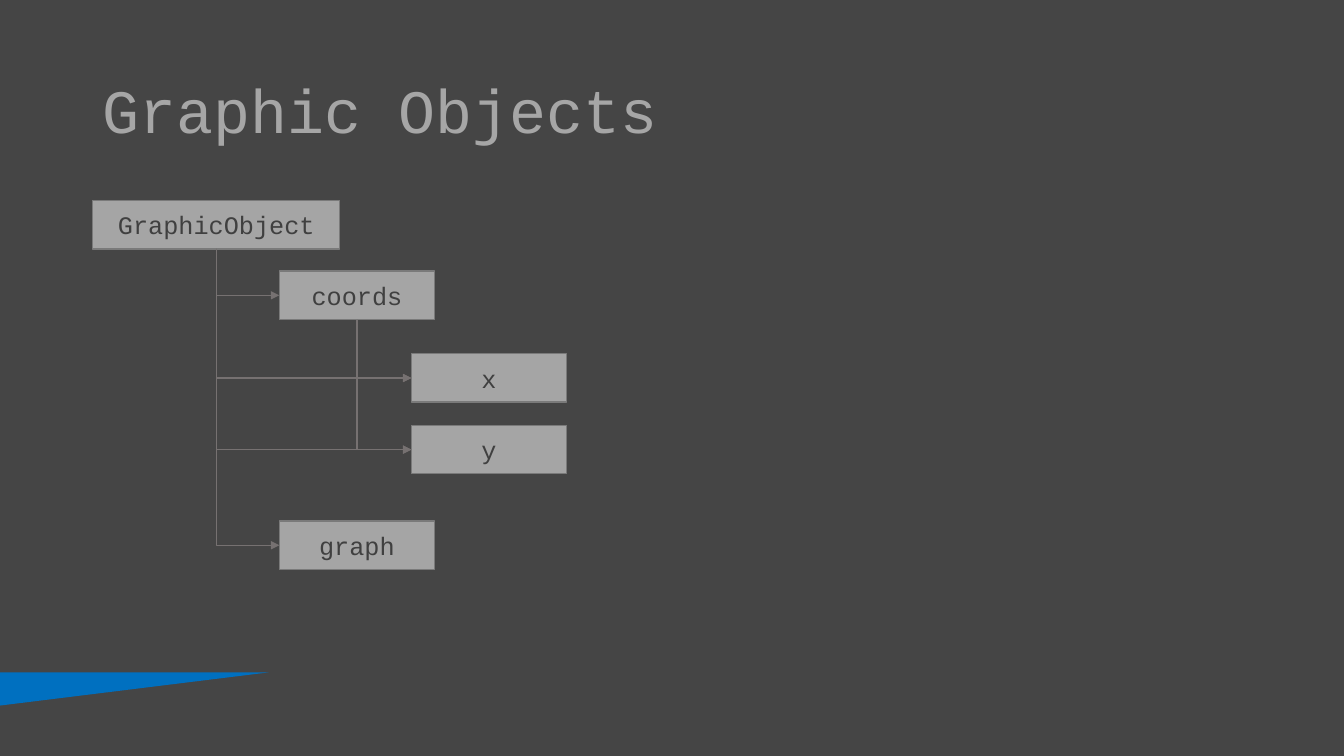
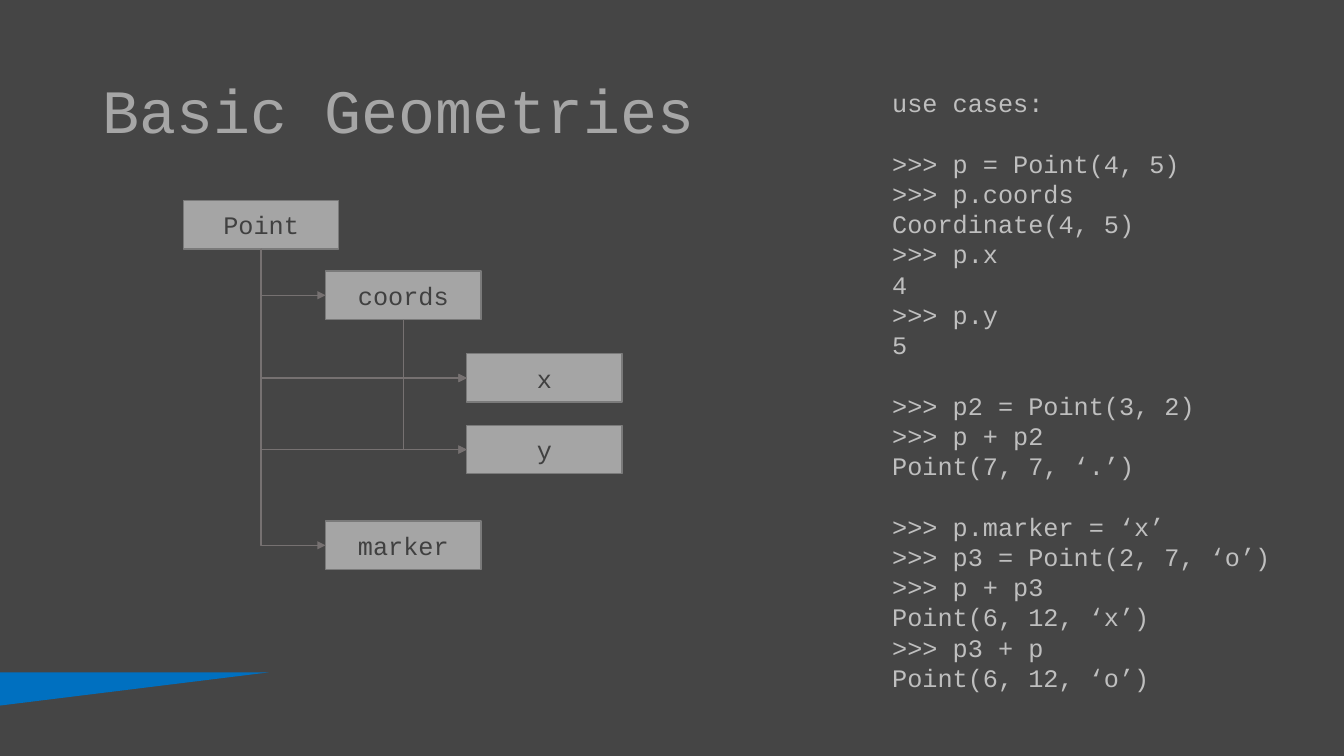
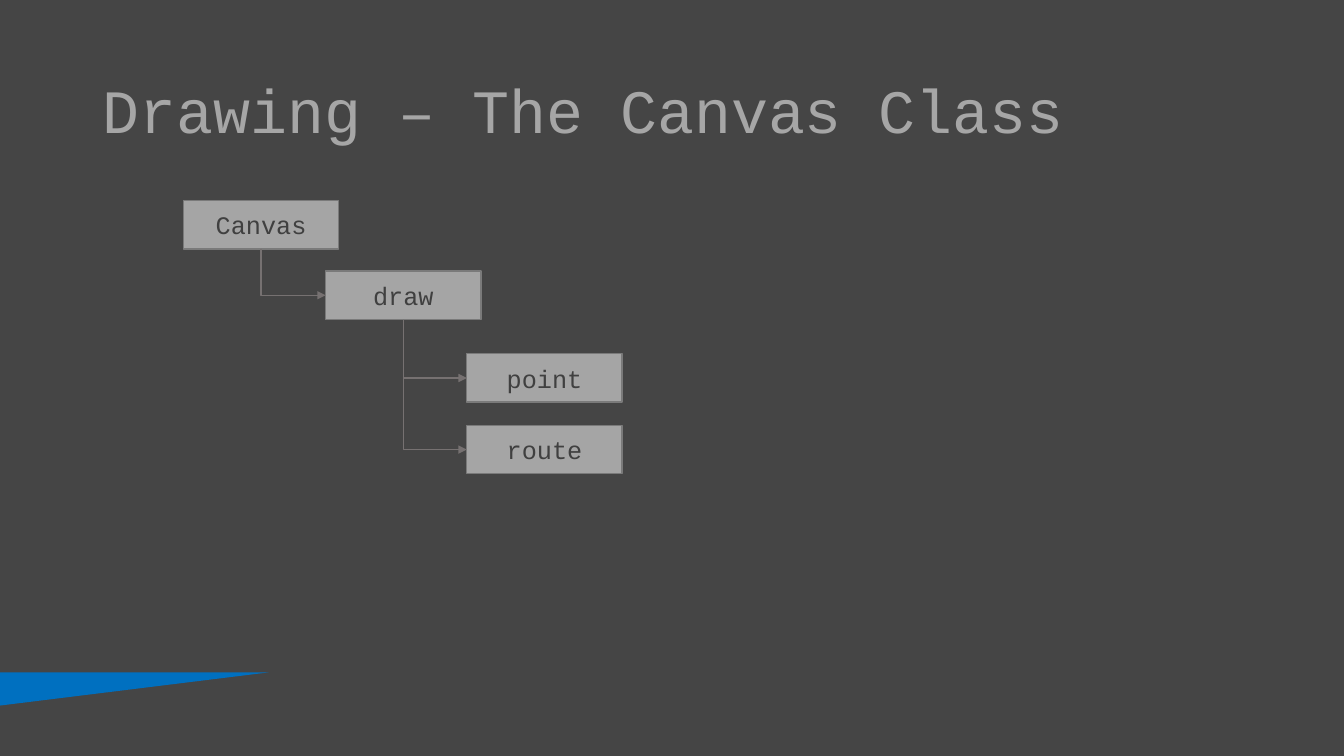
from dataclasses import dataclass

from pptx import Presentation
from pptx import util as u
from pptx.dml.color import RGBColor
from pptx.enum import shapes, text
from pptx.oxml import ns, xmlchemy


# Theme
@dataclass(frozen=True)
class Theme:
    back: str = "454545"
    band: str = "0070C0"
    title: str = "A6A6A6"
    box: str = "A5A5A5"
    edge: str = "7A7A7A"
    link: str = "767171"
    ink: str = "404040"
    code: str = "BFBFBF"
    mono: str = "Courier New"
    big: float = 44
    small: float = 18
    line: float = 1
    gap: float = 21.6


T = Theme()


# Tree parts: a node sits in a row and hangs from its parents
@dataclass(frozen=True)
class Node:
    name: str
    left: float
    row: int
    roots: tuple[str, ...] = ()
    width: float = 1.54

    @property
    def top(self) -> float:
        return ROWS[self.row]

    @property
    def foot(self) -> tuple[float, float]:
        return self.left + self.width / 2, self.top + HIGH

    @property
    def side(self) -> tuple[float, float]:
        return self.left, self.top + HIGH / 2


@dataclass(frozen=True)
class Page:
    title: str
    nodes: tuple[Node, ...]
    code: tuple[tuple[str, ...], ...] = ()


ROWS = (1.99, 2.69, 3.51, 4.22, 5.17)
HIGH = 0.48
COLS = (1.82, 3.23, 4.63)

PAGES = (
    Page("Graphic Objects", (
        Node("GraphicObject", 0.92, 0, width=2.45),
        Node("coords", 2.77, 1, ("GraphicObject",)),
        Node("x", 4.08, 2, ("coords", "GraphicObject")),
        Node("y", 4.08, 3, ("coords", "GraphicObject")),
        Node("graph", 2.77, 4, ("GraphicObject",)),
    )),
    Page("Basic Geometries", (
        Node("Point", COLS[0], 0),
        Node("coords", COLS[1], 1, ("Point",)),
        Node("x", COLS[2], 2, ("coords", "Point")),
        Node("y", COLS[2], 3, ("coords", "Point")),
        Node("marker", COLS[1], 4, ("Point",)),
    ), (
        ("use cases:",),
        (">>> p = Point(4, 5)", ">>> p.coords", "Coordinate(4, 5)",
         ">>> p.x", "4", ">>> p.y", "5"),
        (">>> p2 = Point(3, 2)", ">>> p + p2", "Point(7, 7, ‘.’)"),
        (">>> p.marker = ‘x’", ">>> p3 = Point(2, 7, ‘o’)",
         ">>> p + p3", "Point(6, 12, ‘x’)", ">>> p3 + p",
         "Point(6, 12, ‘o’)"),
    )),
    Page("Drawing – The Canvas Class", (
        Node("Canvas", COLS[0], 0),
        Node("draw", COLS[1], 1, ("Canvas",)),
        Node("point", COLS[2], 2, ("draw",)),
        Node("route", COLS[2], 3, ("draw",)),
    )),
)


# Helpers
def paint(fill, color: str) -> None:
    fill.solid()
    fill.fore_color.rgb = RGBColor.from_string(color)


def write(shape, groups, *, size: float, color: str,
          align=text.PP_ALIGN.LEFT, anchor=text.MSO_ANCHOR.TOP,
          space: float = 1) -> None:
    """Write groups of lines, with a gap above each group but the first."""
    frame = shape.text_frame
    frame.word_wrap = True
    frame.vertical_anchor = anchor
    para = frame.paragraphs[0]
    for g, group in enumerate(groups):
        for n, words in enumerate(group):
            if g or n:
                para = frame.add_paragraph()
            para.alignment = align
            if space != 1:
                para.line_spacing = space
            if g and not n:
                para.space_before = u.Pt(T.gap)
            run = para.add_run()
            run.text = words
            run.font.size = u.Pt(size)
            run.font.name = T.mono
            paint(run.font.fill, color)


def label(slide, left: float, top: float, width: float, height: float,
          groups, **form) -> None:
    area = map(u.Inches, (left, top, width, height))
    write(slide.shapes.add_textbox(*area), groups, **form)


def block(slide, kind, left: float, top: float, width: float,
          height: float, color: str):
    area = map(u.Inches, (left, top, width, height))
    shape = slide.shapes.add_shape(kind, *area)
    shape.shadow.inherit = False
    paint(shape.fill, color)
    shape.line.fill.background()
    return shape


def box(slide, node: Node) -> None:
    shape = block(slide, shapes.MSO_SHAPE.RECTANGLE, node.left, node.top,
                  node.width, HIGH, T.box)
    paint(shape.line.fill, T.edge)
    shape.line.width = u.Pt(T.line)
    write(shape, [[node.name]], size=T.small, color=T.ink,
          align=text.PP_ALIGN.CENTER, anchor=text.MSO_ANCHOR.MIDDLE)


def link(slide, start: tuple[float, float],
         end: tuple[float, float]) -> None:
    """Run an arrow down from start, then right to end."""
    (x1, y1), (x2, y2) = start, end
    midx, midy = (x1 + x2) / 2, (y1 + y2) / 2
    dx, dy = (x2 - x1) / 2, (y2 - y1) / 2
    # The elbow is laid flat, then mirrored and turned upright
    ends = map(u.Inches, (midx - dy, midy - dx, midx + dy, midy + dx))
    wire = slide.shapes.add_connector(shapes.MSO_CONNECTOR.ELBOW, *ends)
    paint(wire.line.fill, T.link)
    wire.line.width = u.Pt(T.line)
    props = wire._element.spPr
    props.find(ns.qn("a:prstGeom")).set("prst", "bentConnector2")
    frame = props.find(ns.qn("a:xfrm"))
    frame.set("rot", str(270 * 60000))
    frame.set("flipH", "1")
    tip = xmlchemy.OxmlElement("a:tailEnd")
    tip.set("type", "triangle")
    props.find(ns.qn("a:ln")).append(tip)
    props.append(xmlchemy.OxmlElement("a:effectLst"))


# Shared frame: corner band and title
def base(slide, title: str) -> None:
    band = block(slide, shapes.MSO_SHAPE.ISOSCELES_TRIANGLE,
                 1.17, 5.5, 0.33, 2.67, T.band)
    band.adjustments[0] = 0
    band.rotation = 90
    label(slide, 0.92, 0.4, 11.5, 1.45, [[title]], size=T.big,
          color=T.title, anchor=text.MSO_ANCHOR.MIDDLE, space=0.9)


def draw(deck, page: Page) -> None:
    slide = deck.slides.add_slide(deck.slide_layouts[6])
    base(slide, page.title)
    for node in page.nodes:
        box(slide, node)
    named = {node.name: node for node in page.nodes}
    for node in page.nodes:
        for root in node.roots:
            link(slide, named[root].foot, node.side)
    if page.code:
        label(slide, 8.75, 0.82, 4.18, 6.46, page.code,
              size=T.small, color=T.code)


# Build
deck = Presentation()
deck.slide_width = u.Inches(13.33)
deck.slide_height = u.Inches(7.5)
paint(deck.slide_master.background.fill, T.back)
for page in PAGES:
    draw(deck, page)
deck.save("out.pptx")
